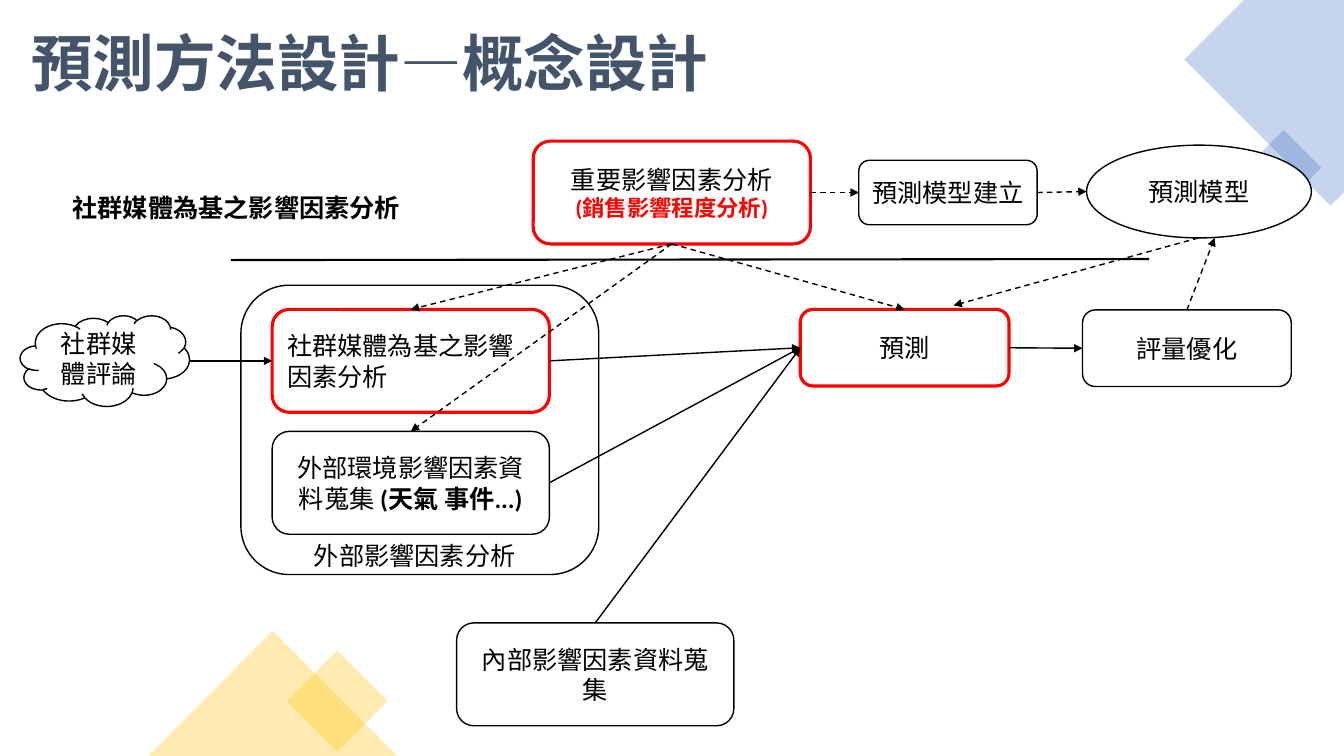
"""Build the concept design slide for the forecasting method."""
from lxml import etree
from pptx import Presentation
from pptx.dml.color import RGBColor
from pptx.enum.dml import MSO_LINE
from pptx.enum.shapes import MSO_CONNECTOR, MSO_SHAPE
from pptx.enum.text import MSO_ANCHOR, PP_ALIGN
from pptx.oxml.ns import qn
from pptx.util import Inches, Pt

ROUNDED, OVAL, CLOUD = MSO_SHAPE.ROUNDED_RECTANGLE, MSO_SHAPE.OVAL, MSO_SHAPE.CLOUD
RECTANGLE, TRIANGLE = MSO_SHAPE.RECTANGLE, MSO_SHAPE.ISOSCELES_TRIANGLE
STRAIGHT, DASH, MIDDLE = MSO_CONNECTOR.STRAIGHT, MSO_LINE.DASH, MSO_ANCHOR.MIDDLE
LEFT, CENTER = PP_ALIGN.LEFT, PP_ALIGN.CENTER
TOP_SIDE, LEFT_SIDE, BOTTOM_SIDE, RIGHT_SIDE = range(4)

COLORS = {
    "black": "000000", "white": "FFFFFF", "red": "FF0000",
    "title": "44546A", "blue": "4472C4", "yellow": "FFC000",
}
PLAIN = {"name": "Calibri", "size": Pt(18), "color": "black", "bold": False}
BOLD = {**PLAIN, "bold": True}
RED_NOTE = {**BOLD, "size": Pt(16), "color": "red"}
TITLE = {"name": "Lato", "size": Pt(44), "color": "title", "bold": True}

presentation = Presentation()
presentation.slide_width, presentation.slide_height = Inches(13.333), Inches(7.5)
COLUMN = presentation.slide_width / 40
ROW = presentation.slide_height / 30
slide = presentation.slides.add_slide(presentation.slide_layouts[6])


def grid(*values):
    """Turn alternating columns and rows into lengths."""
    return [round(value * (ROW if i % 2 else COLUMN)) for i, value in enumerate(values)]


def write(shape, paragraphs, alignment):
    """Fill a shape with paragraphs of formatted runs."""
    frame = shape.text_frame
    for index, runs in enumerate(paragraphs):
        paragraph = frame.add_paragraph() if index else frame.paragraphs[0]
        paragraph.alignment = alignment
        for text, style in runs:
            run = paragraph.add_run()
            run.text = text
            for key, value in style.items():
                if key == "color":
                    run.font.color.rgb = RGBColor.from_string(COLORS[value])
                else:
                    setattr(run.font, key, value)


corner = slide.shapes.build_freeform(*grid(40, 0))
corner.add_line_segments(
    [grid(*point) for point in [(37.02, 0), (35.25, 2.36), (39.6, 8.16), (40, 7.64)]]
)
decorations = [(corner.convert_to_shape(), "blue", 0)]
for preset, place, color, rotation in [
    (RECTANGLE, (37.41, 5.6, 1.59, 2.12), "blue", 45),
    (RECTANGLE, (8.97, 26.4, 2.13, 2.84), "yellow", 45),
    (TRIANGLE, (4.41, 25.04, 7.41, 4.96), "yellow", 0),
]:
    decorations.append((slide.shapes.add_shape(preset, *grid(*place)), color, rotation))
for shape, color, rotation in decorations:
    shape.shadow.inherit = False
    shape.rotation = rotation
    shape.fill.solid()
    shape.fill.fore_color.rgb = RGBColor.from_string(COLORS[color])
    tint = shape.fill._xPr.find(qn("a:solidFill"))[0]
    etree.SubElement(tint, qn("a:alpha"), val="30000")
    shape.line.fill.background()

STANDARD = (8.25, 4.08)
SMALL = (6.21, 3.04)
boxes = {}
for name, preset, position, size, border, alignment, paragraphs in [
    ("external", ROUNDED, (7.17, 11.32), (10.65, 11.48), "black", CENTER, []),
    ("forecast", ROUNDED, (23.82, 12.28), SMALL, "red", CENTER, [[("預測", PLAIN)]]),
    ("social", ROUNDED, (8.1, 12.28), STANDARD, "red", LEFT,
     [[("社群媒體為基之影響因素分析", PLAIN)]]),
    ("environment", ROUNDED, (8.1, 17.12), STANDARD, "black", CENTER,
     [[("外部環境影響因素資料蒐集 ", PLAIN), ("(天氣 事件...)", BOLD)]]),
    ("key factors", ROUNDED, (15.87, 5.6), STANDARD, "red", CENTER,
     [[("重要影響因素分析", PLAIN)], [("(銷售影響程度分析)", RED_NOTE)]]),
    ("internal", ROUNDED, (13.59, 24.72), STANDARD, "black", CENTER,
     [[("內部影響因素資料蒐集", PLAIN)]]),
    ("comments", CLOUD, (0.6, 12.52), (5.04, 3.6), "black", CENTER,
     [[("社群媒體評論", PLAIN)]]),
    ("evaluation", ROUNDED, (32.22, 12.3), SMALL, "black", CENTER, [[("評量優化", PLAIN)]]),
    ("model", OVAL, (32.34, 5.76), (6.69, 3.68), "black", CENTER, [[("預測模型", PLAIN)]]),
    ("model building", ROUNDED, (25.56, 6.36), (5.31, 2.56), "black", CENTER,
     [[("預測模型建立", PLAIN)]]),
]:
    shape = boxes[name] = slide.shapes.add_shape(preset, *grid(*position, *size))
    shape.shadow.inherit = False
    shape.fill.solid()
    shape.fill.fore_color.rgb = RGBColor.from_string(COLORS["white"])
    shape.line.color.rgb = RGBColor.from_string(COLORS[border])
    shape.line.width = Pt(2.25 if border == "red" else 1)
    shape.text_frame.vertical_anchor = MIDDLE
    write(shape, paragraphs, alignment)

for place, text, style, alignment, wrap in [
    ((0.63, 0.8, 20.97, 3.36), "預測方法設計—概念設計", TITLE, LEFT, False),
    ((3.15, 21.24, 18.39, 1.6), "外部影響因素分析", PLAIN, CENTER, True),
    ((1.86, 7.44, 10.65, 1.6), "社群媒體為基之影響因素分析", BOLD, LEFT, True),
]:
    box = slide.shapes.add_textbox(*grid(*place))
    box.text_frame.word_wrap = wrap
    write(box, [[(text, style)]], alignment)

KEY_BOTTOM = ("key factors", BOTTOM_SIDE)
FORECAST_ENTRY = ("forecast", LEFT_SIDE)
for begin, end, width, dashed, arrow in [
    ((6.87, 10.32), (34.2, 10.28), 1.5, False, False),
    (("social", RIGHT_SIDE), FORECAST_ENTRY, 1, False, True),
    (("environment", RIGHT_SIDE), FORECAST_ENTRY, 1, False, True),
    (("internal", TOP_SIDE), FORECAST_ENTRY, 1, False, True),
    ((5.67, 14.32), ("social", LEFT_SIDE), 1, False, True),
    (("forecast", RIGHT_SIDE), ("evaluation", LEFT_SIDE), 1, False, True),
    (KEY_BOTTOM, ("social", TOP_SIDE), 1, True, True),
    (KEY_BOTTOM, ("forecast", TOP_SIDE), 1, True, True),
    (KEY_BOTTOM, ("environment", TOP_SIDE), 1, True, True),
    (("key factors", RIGHT_SIDE), ("model building", LEFT_SIDE), 1, True, True),
    (("model building", RIGHT_SIDE), (32.34, 7.6), 1, True, True),
    ((35.67, 9.44), (28.38, 12.12), 1, True, True),
    (("evaluation", TOP_SIDE), (36.15, 9.44), 1, True, True),
]:
    start, stop = [
        (0, 0) if point[0] in boxes else grid(*point) for point in (begin, end)
    ]
    connector = slide.shapes.add_connector(STRAIGHT, *start, *stop)
    if begin[0] in boxes:
        connector.begin_connect(boxes[begin[0]], begin[1])
    if end[0] in boxes:
        connector.end_connect(boxes[end[0]], end[1])
    connector.line.color.rgb = RGBColor.from_string(COLORS["black"])
    connector.line.width = Pt(width)
    if dashed:
        connector.line.dash_style = DASH
    if arrow:
        etree.SubElement(connector.line._get_or_add_ln(), qn("a:tailEnd"), type="triangle")
    etree.SubElement(connector._element.spPr, qn("a:effectLst"))

presentation.save("out.pptx")
